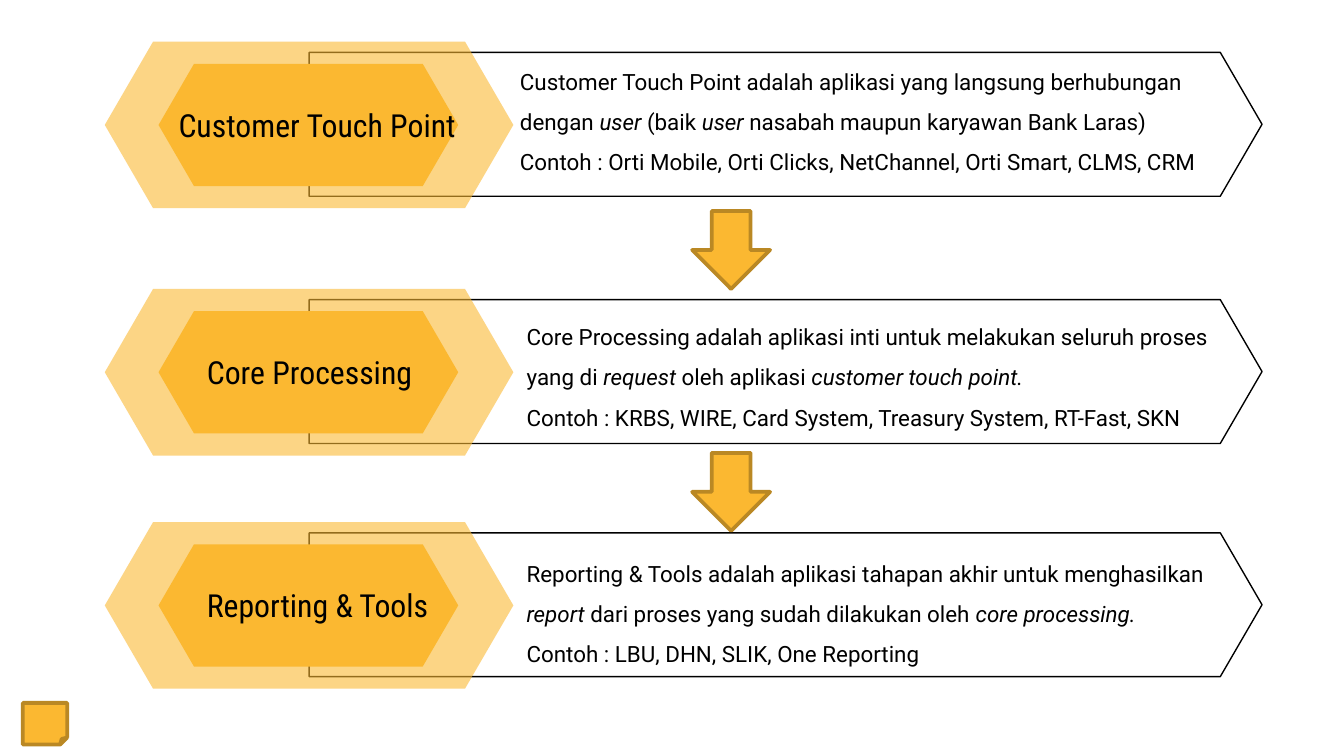
import pptx
import pptx.dml.color
import pptx.enum.shapes
import pptx.enum.text
import pptx.oxml
import pptx.oxml.ns
import pptx.util

SHAPE = pptx.enum.shapes.MSO_SHAPE

# Grid of 100 columns by 56.25 rows, each 0.1 inch
CELL = pptx.util.Inches(0.1)
COLUMNS, ROWS = 100, 56.25

COLORS = {"amber": "FBB831", "amber_edge": "BA8824", "ink": "000000"}
FORMATS = {
    "description": {"name": "Roboto", "size": pptx.util.Pt(12)},
    "label": {"name": "Roboto Condensed", "size": pptx.util.Pt(17)},
}

# Each stage: top row, label and description places (left, offset from top,
# width), and description paragraphs of (text, italic) runs
STAGES = [
    {
        "top": 3.1,
        "label": ("Customer Touch Point", 12.3, 4.2, 23.9),
        "place": (37.7, 2.2, 56.9),
        "description": [
            [
                ("Customer Touch Point adalah aplikasi yang langsung berhubungan dengan ", False),
                ("user ", True),
                ("(baik ", False),
                ("user ", True),
                ("nasabah maupun karyawan Bank Laras)", False),
            ],
            [("Contoh : Orti Mobile, Orti Clicks, NetChannel, Orti Smart, CLMS, CRM", False)],
        ],
    },
    {
        "top": 21.5,
        "label": ("Core Processing", 14.4, 4.2, 23.2),
        "place": (38.2, 2.8, 53.9),
        "description": [
            [
                ("Core Processing adalah aplikasi inti untuk melakukan seluruh proses yang di ", False),
                ("request ", True),
                ("oleh aplikasi ", False),
                ("customer touch point.", True),
            ],
            [("Contoh : KRBS, WIRE, Card System, Treasury System, RT-Fast, SKN", False)],
        ],
    },
    {
        "top": 38.85,
        "label": ("Reporting & Tools", 14.4, 4.2, 18.5),
        "place": (38.2, 3.05, 54.7),
        "description": [
            [
                ("Reporting & Tools adalah aplikasi tahapan akhir untuk menghasilkan ", False),
                ("report ", True),
                ("dari proses yang sudah dilakukan oleh ", False),
                ("core processing.", True),
            ],
            [("Contoh : LBU, DHN, SLIK, One Reporting", False)],
        ],
    },
]


def grid(*cells):
    return [round(cell * CELL) for cell in cells]


def color(name):
    return pptx.dml.color.RGBColor.from_string(COLORS[name])


def add_block(shapes, kind, place, fill=None, edge=None, edge_width=0.75, bend=None, alpha=None):
    """Add a preset shape; bend is its first adjustment, alpha a percentage."""
    block = shapes.add_shape(kind, *grid(*place))
    block.shadow.inherit = False
    if bend is not None:
        block.adjustments[0] = bend
    if fill:
        block.fill.solid()
        block.fill.fore_color.rgb = color(fill)
    else:
        block.fill.background()
    if edge:
        block.line.color.rgb = color(edge)
        block.line.width = pptx.util.Pt(edge_width)
    else:
        block.line.fill.background()
    if alpha is not None:
        tint = block.fill._xPr.find(".//" + pptx.oxml.ns.qn("a:srgbClr"))
        opacity = pptx.oxml.parse_xml(
            f'<a:alpha {pptx.oxml.ns.nsdecls("a")} val="{alpha * 1000}"/>'
        )
        tint.append(opacity)


def add_text(shapes, place, paragraphs, style, spacing=1.0):
    frame = shapes.add_textbox(*grid(*place)).text_frame
    frame.word_wrap = True
    frame.vertical_anchor = pptx.enum.text.MSO_ANCHOR.MIDDLE
    for side in ("left", "top", "right", "bottom"):
        setattr(frame, f"margin_{side}", CELL)
    for number, runs in enumerate(paragraphs):
        paragraph = frame.add_paragraph() if number else frame.paragraphs[0]
        paragraph.line_spacing = spacing
        for text, italic in runs:
            run = paragraph.add_run()
            run.text = text
            for attribute, value in FORMATS[style].items():
                setattr(run.font, attribute, value)
            run.font.italic = italic
            run.font.color.rgb = color("ink")


def add_stage(slide, stage):
    shapes = slide.shapes.add_group_shape().shapes
    top = stage["top"]

    # Outlined banner behind two nested hexagons
    add_block(shapes, SHAPE.PENTAGON, (23, top + 0.8, 70.9, 10.7), edge="ink", bend=0.29)
    add_block(shapes, SHAPE.HEXAGON, (7.8, top, 30.4, 12.4), "amber", bend=0.29, alpha=59)
    add_block(shapes, SHAPE.HEXAGON, (11.8, top + 1.65, 22.3, 9.1), "amber", bend=0.29)

    # Description and label
    left, offset, width = stage["place"]
    add_text(shapes, (left, top + offset, width, 6.5), stage["description"], "description", 1.5)
    label, left, offset, width = stage["label"]
    add_text(shapes, (left, top + offset, width, 3.9), [[(label, False)]], "label")


def main():
    deck = pptx.Presentation()
    deck.slide_width, deck.slide_height = grid(COLUMNS, ROWS)
    slide = deck.slides.add_slide(deck.slide_layouts[6])

    for stage in STAGES:
        add_stage(slide, stage)

    # Arrows between stages
    for top in (15.7, 33.7):
        add_block(slide.shapes, SHAPE.DOWN_ARROW, (51.5, top, 5.8, 5.8), "amber", "amber_edge", 2)

    # Corner note
    add_block(slide.shapes, SHAPE.FOLDED_CORNER, (1.7, 52.3, 3.3, 3.1), "amber", "amber_edge", 2)

    deck.save("out.pptx")


if __name__ == "__main__":
    main()
